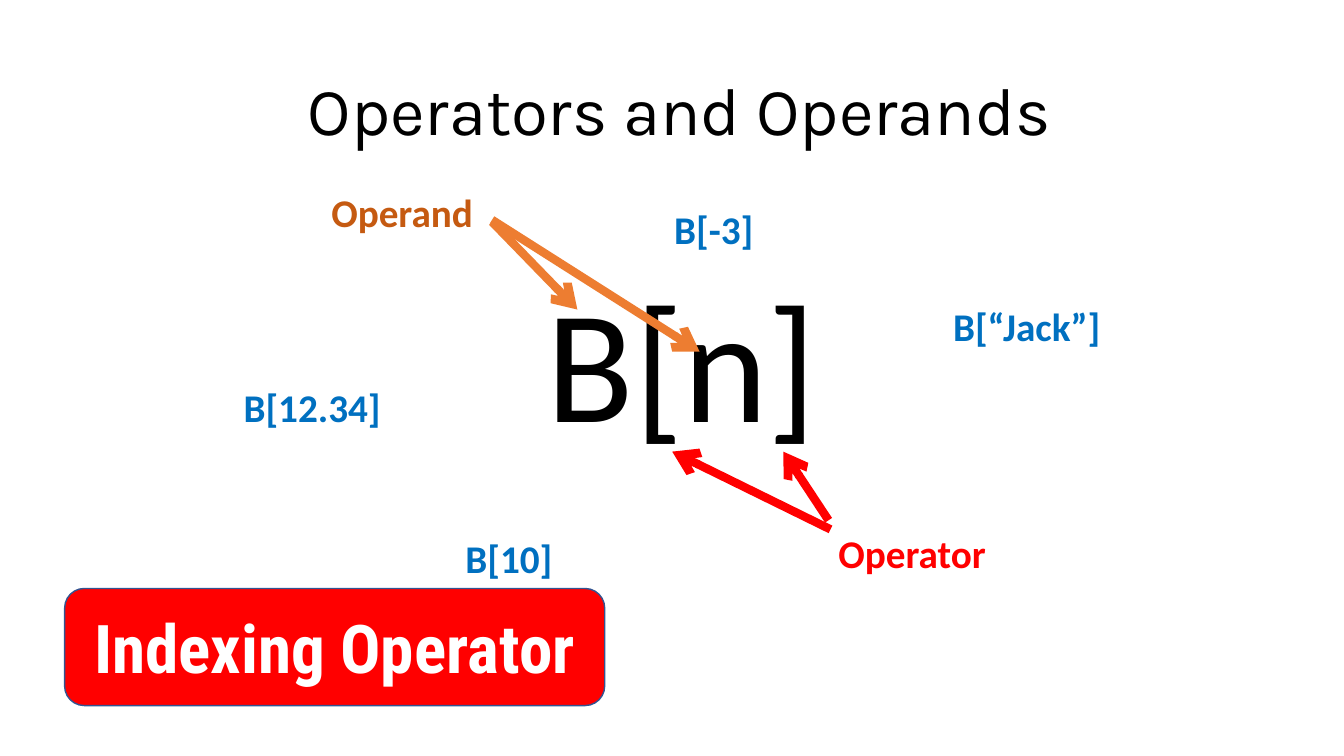
from dataclasses import dataclass

from lxml.etree import SubElement
from pptx import Presentation
from pptx.dml.color import RGBColor
from pptx.enum.shapes import MSO_CONNECTOR, MSO_SHAPE
from pptx.enum.text import MSO_ANCHOR, PP_ALIGN
from pptx.oxml.ns import qn
from pptx.slide import Slide
from pptx.text.text import TextFrame
from pptx.util import Cm, Pt

COLORS = {
    "black": "000000",
    "white": "FFFFFF",
    "red": "FF0000",
    "orange": "ED7D31",
    "rust": "C55A11",
    "blue": "0070C0",
    "outline": "325491",
}


@dataclass
class Label:
    text: str
    left: float
    top: float
    width: float
    color: str
    height: float = 1.45
    size: float = 28
    font: str = "Calibri"
    bold: bool = True
    align: PP_ALIGN = PP_ALIGN.LEFT
    anchor: MSO_ANCHOR = MSO_ANCHOR.TOP
    line_spacing: float = 1.0
    space_before: float = 0


@dataclass
class Arrow:
    x1: float
    y1: float
    x2: float
    y2: float
    color: str


def rgb(name: str) -> RGBColor:
    return RGBColor.from_string(COLORS[name])


def write_text(tf: TextFrame, label: Label) -> None:
    tf.word_wrap = True
    tf.vertical_anchor = label.anchor
    p = tf.paragraphs[0]
    p.alignment = label.align
    p.line_spacing = label.line_spacing
    p.space_before = Pt(label.space_before)
    r = p.add_run()
    r.text = label.text
    r.font.name = label.font
    r.font.size = Pt(label.size)
    r.font.bold = label.bold
    r.font.color.rgb = rgb(label.color)


def add_label(s: Slide, label: Label) -> None:
    sp = s.shapes.add_textbox(
        Cm(label.left), Cm(label.top), Cm(label.width), Cm(label.height))
    write_text(sp.text_frame, label)


def add_banner(s: Slide, label: Label) -> None:
    sp = s.shapes.add_shape(
        MSO_SHAPE.ROUNDED_RECTANGLE,
        Cm(label.left), Cm(label.top), Cm(label.width), Cm(label.height))
    sp.shadow.inherit = False
    sp.fill.solid()
    sp.fill.fore_color.rgb = rgb("red")
    sp.line.color.rgb = rgb("outline")
    sp.line.width = Pt(1)
    write_text(sp.text_frame, label)


def add_arrow(s: Slide, arrow: Arrow) -> None:
    sp = s.shapes.add_connector(
        MSO_CONNECTOR.STRAIGHT,
        Cm(arrow.x1), Cm(arrow.y1), Cm(arrow.x2), Cm(arrow.y2))
    sp.line.color.rgb = rgb(arrow.color)
    sp.line.width = Pt(6)
    SubElement(sp.line._get_or_add_ln(), qn("a:tailEnd"), type="arrow")
    SubElement(sp._element.spPr, qn("a:effectLst"))


TITLE = Label("Operators and Operands", 2.52, 1.02, 29.21, "black", height=3.68,
              size=48, font="Karla", bold=False, align=PP_ALIGN.CENTER,
              anchor=MSO_ANCHOR.MIDDLE, line_spacing=0.9)
EXPRESSION = Label("B[n]", 13.53, 7.01, 10.2, "black", height=5.79,
                   size=115, bold=False, line_spacing=0.9, space_before=10)
BANNER = Label("Indexing Operator", 1.63, 14.83, 13.61, "white", height=2.95,
               size=48, font="Roboto Condensed", align=PP_ALIGN.CENTER,
               anchor=MSO_ANCHOR.MIDDLE)
LABELS = [
    Label("Operand", 8.1, 4.62, 5.44, "rust"),
    Label("Operator", 20.88, 13.21, 5.13, "red"),
    Label("B[10]", 11.48, 13.34, 3.02, "blue"),
    Label("B[-3]", 16.74, 5.05, 3.02, "blue"),
    Label("B[12.34]", 5.89, 9.53, 4.22, "blue"),
    Label("B[“Jack”]", 23.77, 7.49, 4.78, "blue"),
]
ARROWS = [
    Arrow(12.4, 5.59, 14.55, 7.8, "orange"),
    Arrow(20.93, 13.34, 16.94, 11.38, "red"),
    Arrow(20.88, 13.11, 19.74, 11.38, "red"),
    Arrow(12.4, 5.54, 17.63, 8.86, "orange"),
]

prs = Presentation()
prs.slide_width = Cm(33.87)
prs.slide_height = Cm(19.05)
s = prs.slides.add_slide(prs.slide_layouts[6])
s.background.fill.solid()
s.background.fill.fore_color.rgb = rgb("white")

for label in [TITLE, EXPRESSION]:
    add_label(s, label)
for arrow in ARROWS:
    add_arrow(s, arrow)
for label in LABELS:
    add_label(s, label)
add_banner(s, BANNER)

prs.save("out.pptx")
